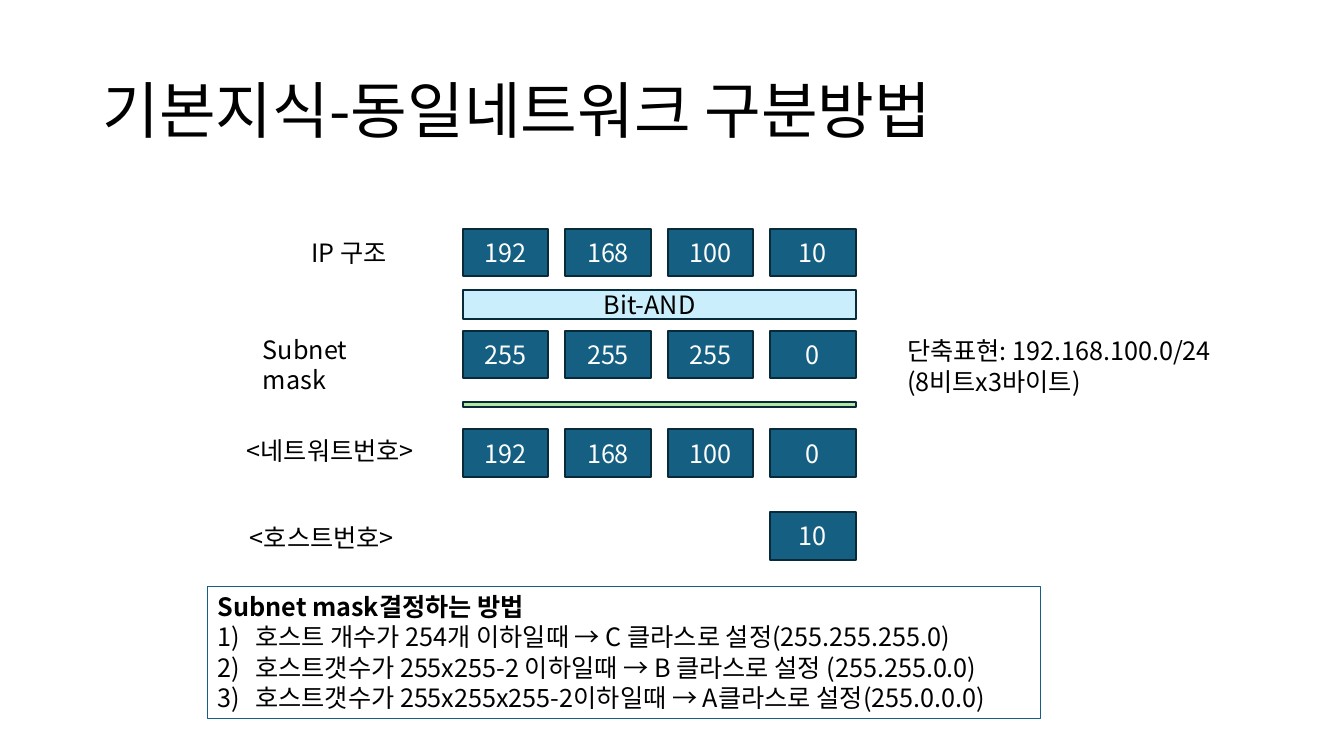
from dataclasses import dataclass

from lxml.etree import SubElement
from pptx import Presentation
from pptx.dml.color import RGBColor
from pptx.enum.shapes import MSO_SHAPE
from pptx.enum.text import MSO_ANCHOR, MSO_AUTO_SIZE, PP_ALIGN
from pptx.oxml.ns import qn
from pptx.util import Pt

FONT = "Noto Sans CJK KR"
COLORS = {
    "black": "000000",
    "white": "FFFFFF",
    "octet": "156082",
    "outline": "092A39",
    "operation": "CAEEFB",
    "result": "B4E5A2",
}
OCTET_LEFT, OCTET_STEP = 330.5, 73.2
OCTET_WIDTH, OCTET_HEIGHT = 61.2, 33.84
BAR_WIDTH = 3 * OCTET_STEP + OCTET_WIDTH


@dataclass(frozen=True)
class AddressRow:
    top: float
    octets: tuple[str, ...]
    first_column: int = 0


@dataclass(frozen=True)
class Bar:
    top: float
    height: float
    color: str


@dataclass(frozen=True)
class Label:
    """A text box; a vertical tab in a line is a line break."""
    left: float
    top: float
    width: float
    height: float
    lines: tuple[str, ...]


ADDRESS_ROWS = (
    AddressRow(163.4, ("192", "168", "100", "10")),
    AddressRow(236.4, ("255", "255", "255", "0")),
    AddressRow(306.7, ("192", "168", "100", "0")),
    AddressRow(365.9, ("10",), first_column=3),
)
BARS = (Bar(207.4, 20.5, "operation"), Bar(287.3, 3.6, "result"))
LABELS = (
    Label(215.3, 165.6, 72.7, 29.1, ("IP 구조",)),
    Label(180.7, 235.4, 121, 29.1, ("Subnet\vmask",)),
    Label(424.1, 203, 81.4, 29.1, ("Bit-AND",)),
    Label(169.2, 307.4, 149, 29.1, ("<네트워트번호>",)),
    Label(171.4, 369.4, 131, 29.1, ("<호스트번호>",)),
    Label(640.8, 236.2, 236.9, 50.9, ("단축표현: 192.168.100.0/24", "(8비트x3바이트)")),
)
METHOD = Label(148.3, 419, 594.7, 94.3, (
    "Subnet mask결정하는 방법",
    "호스트 개수가 254개 이하일때 → C 클라스로 설정(255.255.255.0)",
    "호스트갯수가 255x255-2 이하일때 → B 클라스로 설정 (255.255.0.0)",
    "호스트갯수가 255x255x255-2이하일때 → A클라스로 설정(255.0.0.0)",
))


def rgb(name: str) -> RGBColor:
    return RGBColor.from_string(COLORS[name])


def write(para, text: str, *, size: float = 18, color: str = "black",
          bold: bool = False, align=PP_ALIGN.LEFT) -> None:
    para.text = text
    para.alignment = align
    for span in para.runs:
        span.font.name = FONT
        span.font.size = Pt(size)
        span.font.bold = bold
        span.font.color.rgb = rgb(color)
        SubElement(span.font._element, qn("a:ea"), typeface=FONT)


def number(para) -> None:
    """Turn a paragraph into an item of a 1) 2) 3) list."""
    properties = para._p.get_or_add_pPr()
    properties.set("marL", str(Pt(27)))
    properties.set("indent", str(-Pt(27)))
    SubElement(properties, qn("a:buFont"), typeface="+mj-lt")
    SubElement(properties, qn("a:buAutoNum"), type="arabicParenR")


def add_rectangle(page, left: float, top: float, width: float, height: float, color: str):
    box = page.shapes.add_shape(
        MSO_SHAPE.RECTANGLE, Pt(left), Pt(top), Pt(width), Pt(height))
    box.shadow.inherit = False
    box.fill.solid()
    box.fill.fore_color.rgb = rgb(color)
    box.line.color.rgb = rgb("outline")
    box.line.width = Pt(1.5)
    return box


def add_address_row(page, row: AddressRow) -> None:
    for column, octet in enumerate(row.octets, row.first_column):
        box = add_rectangle(page, OCTET_LEFT + column * OCTET_STEP, row.top,
                            OCTET_WIDTH, OCTET_HEIGHT, "octet")
        box.text_frame.vertical_anchor = MSO_ANCHOR.MIDDLE
        write(box.text_frame.paragraphs[0], octet, color="white", align=PP_ALIGN.CENTER)


def add_label(page, label: Label):
    box = page.shapes.add_textbox(
        Pt(label.left), Pt(label.top), Pt(label.width), Pt(label.height))
    frame = box.text_frame
    frame.word_wrap = False
    frame.auto_size = MSO_AUTO_SIZE.SHAPE_TO_FIT_TEXT
    for index, line in enumerate(label.lines):
        para = frame.add_paragraph() if index else frame.paragraphs[0]
        write(para, line)
    return box


def add_method(page) -> None:
    box = add_label(page, METHOD)
    box.line.color.rgb = rgb("octet")
    box.line.width = Pt(0.75)
    heading, *steps = box.text_frame.paragraphs
    heading.runs[0].font.bold = True
    for step in steps:
        number(step)


def set_title(page, text: str) -> None:
    title = page.shapes.title
    title.left, title.top, title.width, title.height = Pt(66), Pt(28.8), Pt(828), Pt(104.4)
    frame = title.text_frame
    frame.auto_size = MSO_AUTO_SIZE.NONE
    frame.vertical_anchor = MSO_ANCHOR.MIDDLE
    write(frame.paragraphs[0], text, size=44)
    frame.paragraphs[0].line_spacing = 0.9


def main() -> None:
    deck = Presentation()
    deck.slide_width, deck.slide_height = Pt(960), Pt(540)
    page = deck.slides.add_slide(deck.slide_layouts.get_by_name("Title Only"))
    set_title(page, "기본지식-동일네트워크 구분방법")
    for bar in BARS:
        add_rectangle(page, OCTET_LEFT, bar.top, BAR_WIDTH, bar.height, bar.color)
    for row in ADDRESS_ROWS:
        add_address_row(page, row)
    for label in LABELS:
        add_label(page, label)
    add_method(page)
    deck.save("out.pptx")


if __name__ == "__main__":
    main()
